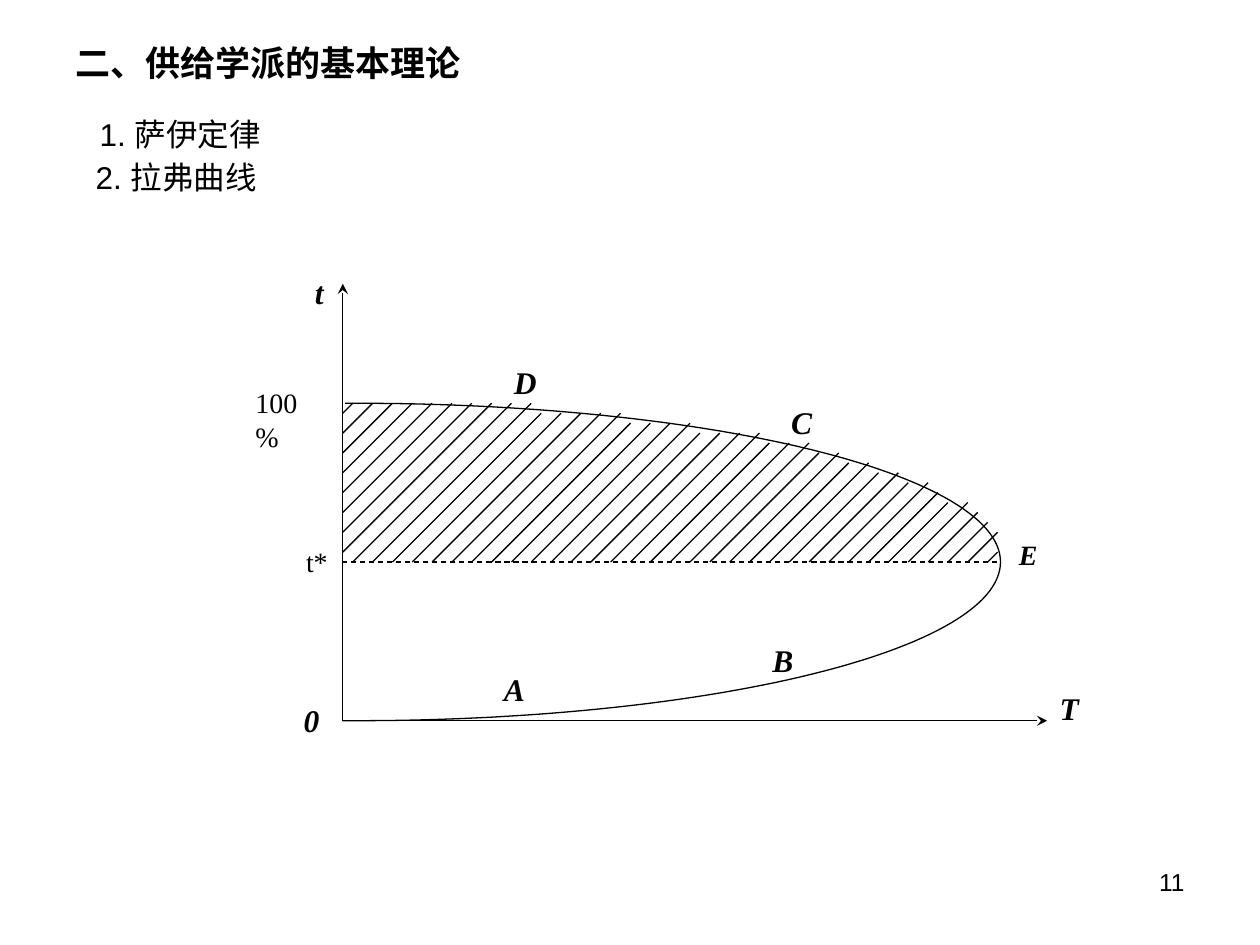
"""Build the slide on supply-side theory with the Laffer curve."""
import math

import pptx
import pptx.dml.color
import pptx.enum.dml
import pptx.enum.shapes
import pptx.enum.text
import pptx.oxml.ns
import pptx.util
from lxml import etree

Cm = pptx.util.Cm
Pt = pptx.util.Pt
Align = pptx.enum.text.PP_ALIGN

AXIS_X, AXIS_TOP, AXIS_RIGHT = 6.91, 5.72, 21.11
CURVE_TOP, OPTIMUM_Y, ORIGIN_Y = 8.13, 11.33, 14.53
CURVE_CENTER_X, CURVE_RADIUS_X = 7.17, 13.0
HATCH_GAP, HATCH_STEP = 0.4, 0.2
HATCHES_PER_STEP = (10, 5, 4, 4, 3, 2, 2, 2, 2, 1, 2, 1, 1, 1, 0, 1)

LABELS = (
    ("t", 6.1, 5.38, 0.69, 18, True),
    ("D", 10.11, 7.19, 0.97, 18, True),
    ("C", 15.7, 8.0, 0.91, 18, True),
    ("E", 20.29, 10.72, 1.35, 16, True),
    ("B", 15.32, 12.8, 0.91, 18, True),
    ("A", 9.91, 13.39, 0.91, 18, True),
    ("T", 21.11, 13.77, 1.6, 18, True),
    ("0", 5.87, 14.0, 0.8, 18, True),
    ("100%", 4.9, 7.65, 1.8, 16, False),
    ("t*", 5.92, 10.85, 0.94, 16, False),
)


def color(value):
    """Turn a hex string into a colour."""
    return pptx.dml.color.RGBColor.from_string(value)


def write(paragraph, text, *, size, font="Arial", fill="000000", bold=False,
          italic=False, align=Align.LEFT, indent=0, line_height=None):
    """Write formatted text into a paragraph."""
    run = paragraph.add_run()
    run.text = text
    run.font.name = font
    run.font.size = Pt(size)
    run.font.bold = bold
    run.font.italic = italic
    run.font.color.rgb = color(fill)
    paragraph.alignment = align
    if indent:
        paragraph._p.get_or_add_pPr().set("marL", str(Cm(indent)))
    if line_height:
        paragraph.line_spacing = Pt(line_height)


class SlideBuilder:
    """Hold the style and the current slide."""

    ink = "000000"
    line_width = 0.75

    def __init__(self, slide):
        """Start on the given slide."""
        self.slide = slide

    def text_box(self, left, top, width, height, wrap=True):
        """Add an empty text box and return its text frame."""
        shape = self.slide.shapes.add_textbox(Cm(left), Cm(top), Cm(width), Cm(height))
        shape.text_frame.word_wrap = wrap
        return shape.text_frame

    def heading(self, lines):
        """Add the heading and its numbered topics."""
        frame = self.text_box(1.27, 0.76, 22.86, 3.18)
        frame.margin_top = frame.margin_bottom = 0
        for index, (text, style) in enumerate(lines):
            paragraph = frame.add_paragraph() if index else frame.paragraphs[0]
            write(paragraph, text, **style)

    def label(self, text, left, top, width, size, emphasis):
        """Add a label to the diagram."""
        frame = self.text_box(left, top, width, 1.0, wrap=False)
        write(frame.paragraphs[0], text, size=size, font="Times New Roman",
              bold=emphasis, italic=emphasis)

    def page_number(self, text):
        """Add the page number."""
        frame = self.text_box(18.21, 17.35, 5.92, 1.32)
        write(frame.paragraphs[0], text, size=14, align=Align.RIGHT)

    def stroke(self, line):
        """Give a line the common colour and width."""
        line.color.rgb = color(self.ink)
        line.width = Pt(self.line_width)

    def line(self, start, end, dashed=False, arrow=False):
        """Add a straight line between two points."""
        connector = self.slide.shapes.add_connector(
            pptx.enum.shapes.MSO_CONNECTOR.STRAIGHT, *map(Cm, start + end))
        self.stroke(connector.line)
        if dashed:
            connector.line.dash_style = pptx.enum.dml.MSO_LINE.DASH
        if arrow:
            etree.SubElement(connector.line._get_or_add_ln(),
                             pptx.oxml.ns.qn("a:tailEnd"), type="stealth")
        etree.SubElement(connector._element.spPr, pptx.oxml.ns.qn("a:effectLst"))

    def curve(self, points):
        """Add an open, unfilled curve through the points."""
        (left, top), *others = [(Cm(x), Cm(y)) for x, y in points]
        builder = self.slide.shapes.build_freeform(left, top)
        builder.add_line_segments(others, close=False)
        shape = builder.convert_to_shape()
        shape.shadow.inherit = False
        shape.fill.background()
        self.stroke(shape.line)


def laffer_points(steps=120):
    """Return points along the right half of the ellipse."""
    radius_y = ORIGIN_Y - OPTIMUM_Y
    angles = [math.pi * step / steps - math.pi / 2 for step in range(steps + 1)]
    arc = [(CURVE_CENTER_X + CURVE_RADIUS_X * math.cos(angle),
            OPTIMUM_Y + radius_y * math.sin(angle)) for angle in angles]
    return [(AXIS_X + 0.05, CURVE_TOP), *arc, (AXIS_X, ORIGIN_Y)]


def hatch_lines():
    """Yield the diagonal lines between the curve and the optimum."""
    levels = [level for level, count in enumerate(HATCHES_PER_STEP) for _ in range(count)]
    for index, level in enumerate(levels):
        reach = HATCH_STEP + index * HATCH_GAP
        low = min(CURVE_TOP + reach, OPTIMUM_Y)
        high = CURVE_TOP + level * HATCH_STEP
        diagonal = AXIS_X + CURVE_TOP + reach
        yield (diagonal - low, low), (diagonal - high, high)


def main():
    """Build and save the presentation."""
    presentation = pptx.Presentation()
    presentation.slide_width = Cm(25.4)
    presentation.slide_height = Cm(19.05)
    builder = SlideBuilder(presentation.slides.add_slide(presentation.slide_layouts[6]))

    builder.heading((
        ("二、供给学派的基本理论", {"size": 20, "bold": True, "line_height": 26}),
        ("1. 萨伊定律", {"size": 18, "indent": 0.49, "line_height": 39.6}),
        ("2. 拉弗曲线", {"size": 18, "indent": 0.41, "line_height": 24.6}),
    ))
    origin = (AXIS_X, ORIGIN_Y)
    builder.line(origin, (AXIS_X, AXIS_TOP), arrow=True)
    builder.line(origin, (AXIS_RIGHT, ORIGIN_Y), arrow=True)
    builder.curve(laffer_points())
    builder.line((20.1, OPTIMUM_Y), (AXIS_X, OPTIMUM_Y), dashed=True)
    for start, end in hatch_lines():
        builder.line(start, end)
    for label in LABELS:
        builder.label(*label)
    builder.page_number("11")
    presentation.save("out.pptx")


if __name__ == "__main__":
    main()
